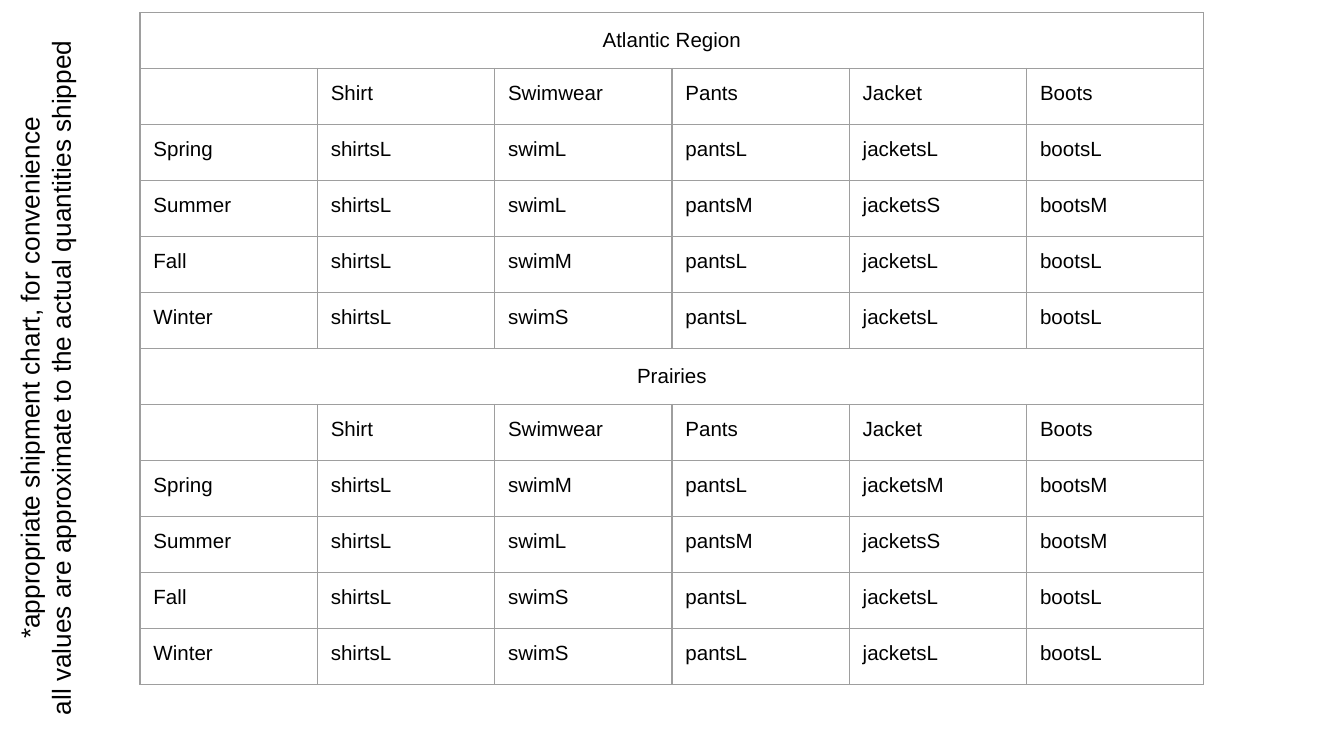
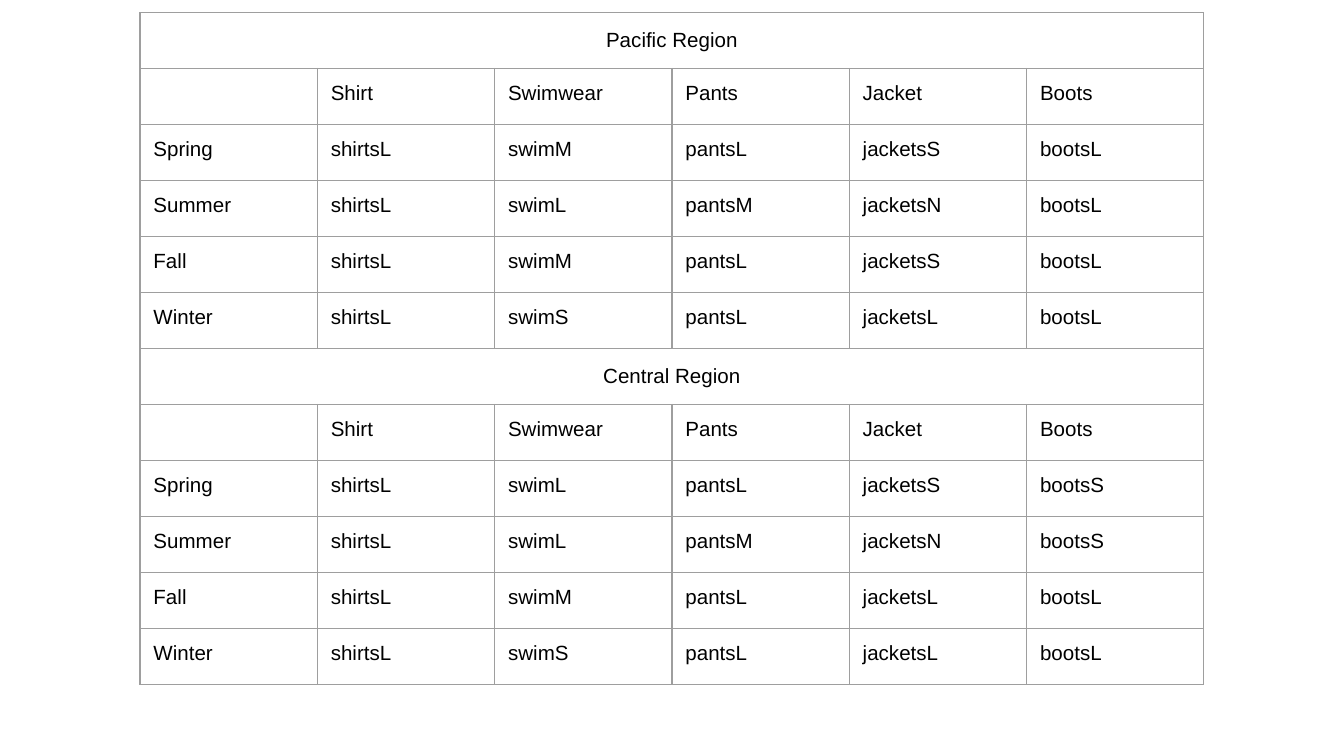
from lxml.etree import SubElement
from pptx import Presentation
from pptx.dml.color import RGBColor
from pptx.enum.text import MSO_ANCHOR, PP_ALIGN
from pptx.oxml.ns import qn
from pptx.util import Pt

COLORS = {"text": "000000", "border": "9E9E9E"}
FONT = "Arial"
INSET = Pt(7.2)
COL_W, ROW_H = 95, 30
HEADINGS = ["", "Shirt", "Swimwear", "Pants", "Jacket", "Boots"]
ITEMS = ["shirts", "swim", "pants", "jackets", "boots"]
SEASONS = ["Spring", "Summer", "Fall", "Winter"]
NOTE = [
    "*appropriate shipment chart, for convenience",
    "all values are approximate to the actual quantities shipped",
]
ATLANTIC_PRAIRIES = {
    "Atlantic Region": ["LLLLL", "LLMSM", "LMLLL", "LSLLL"],
    "Prairies": ["LMLMM", "LLMSM", "LSLLL", "LSLLL"],
}
PACIFIC_CENTRAL = {
    "Pacific Region": ["LMLSL", "LLMNL", "LMLSL", "LSLLL"],
    "Central Region": ["LLLSS", "LLMNS", "LMLLL", "LSLLL"],
}


class Deck:
    """Builds shipment slides in one shared style."""

    def __init__(self):
        self.prs = Presentation()
        self.prs.slide_width, self.prs.slide_height = Pt(720), Pt(405)

    def add_slide(self):
        self.s = self.prs.slides.add_slide(self.prs.slide_layouts[6])

    def set_insets(self, box):
        box.margin_left = box.margin_right = INSET
        box.margin_top = box.margin_bottom = INSET

    def format_paragraph(self, p, size, align):
        p.alignment = align
        for r in p.runs:
            r.font.size = Pt(size)
            r.font.name = FONT
            r.font.color.rgb = RGBColor.from_string(COLORS["text"])
        SubElement(p._p, qn("a:endParaRPr"), sz=str(size * 100))

    def set_borders(self, cell):
        tcPr = cell._tc.get_or_add_tcPr()
        for side in ("lnL", "lnR", "lnT", "lnB"):
            ln = SubElement(tcPr, qn(f"a:{side}"), w=str(Pt(0.75)))
            fill = SubElement(ln, qn("a:solidFill"))
            SubElement(fill, qn("a:srgbClr"), val=COLORS["border"])

    def fill_cell(self, cell, text, align=PP_ALIGN.LEFT):
        cell.text_frame.text = text
        self.set_insets(cell)
        self.set_borders(cell)
        cell.fill.background()
        p = cell.text_frame.paragraphs[0]
        self.format_paragraph(p, 11, align)
        return p

    def add_shipments(self, regions):
        rows = []
        for region, grades in regions.items():
            rows += [[region] + [""] * len(ITEMS), HEADINGS]
            for season, sizes in zip(SEASONS, grades):
                rows.append([season] + [i + z for i, z in zip(ITEMS, sizes)])
        n_rows, n_cols = len(rows), len(HEADINGS)
        table = self.s.shapes.add_table(
            n_rows, n_cols, Pt(75), Pt(6.75), Pt(COL_W * n_cols), Pt(ROW_H * n_rows)
        ).table
        table.first_row = table.horz_banding = False
        for col in table.columns:
            col.width = Pt(COL_W)
        for i, values in enumerate(rows):
            table.rows[i].height = Pt(ROW_H)
            is_region = values[0] in regions
            align = PP_ALIGN.CENTER if is_region else PP_ALIGN.LEFT
            for j, value in enumerate(values):
                p = self.fill_cell(table.cell(i, j), value, align)
                if is_region:
                    p.line_spacing = 1.15
                    p.space_after = Pt(16)
            if is_region:
                table.cell(i, 0).merge(table.cell(i, n_cols - 1))

    def add_side_note(self, lines):
        sp = self.s.shapes.add_textbox(Pt(-178), Pt(184.5), Pt(392), Pt(36))
        sp.rotation = 270
        tf = sp.text_frame
        tf.word_wrap = True
        tf.vertical_anchor = MSO_ANCHOR.TOP
        self.set_insets(tf)
        tf.text = "\n".join(lines)
        for p in tf.paragraphs:
            self.format_paragraph(p, 14, PP_ALIGN.CENTER)


def main():
    deck = Deck()
    deck.add_slide()
    deck.add_shipments(ATLANTIC_PRAIRIES)
    deck.add_side_note(NOTE)
    deck.add_slide()
    deck.add_shipments(PACIFIC_CENTRAL)
    deck.prs.save("out.pptx")


if __name__ == "__main__":
    main()
